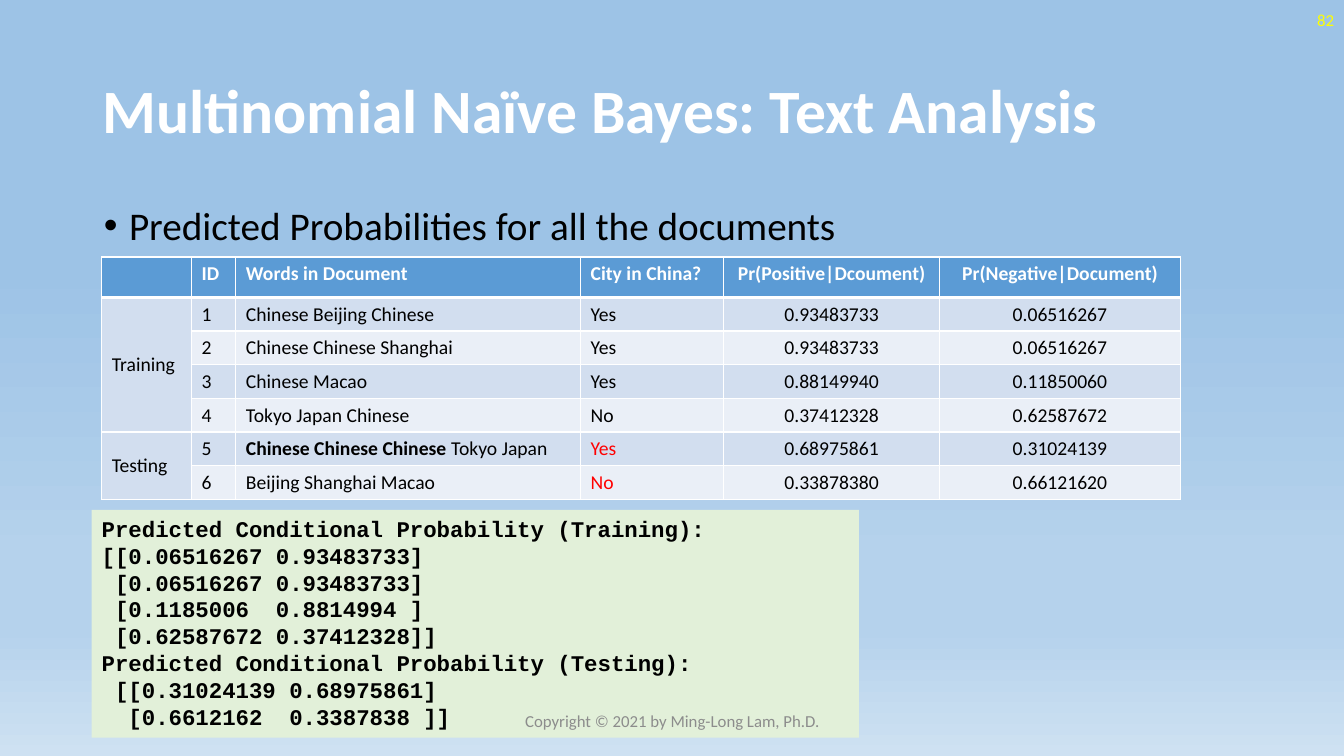
from lxml.etree import SubElement
from pptx import Presentation
from pptx.dml.color import RGBColor
from pptx.enum.text import MSO_ANCHOR, MSO_AUTO_SIZE, PP_ALIGN
from pptx.oxml import parse_xml
from pptx.oxml.ns import nsdecls, qn
from pptx.util import Inches, Pt

COLORS = {
    "white": "FFFFFF", "black": "000000", "red": "FF0000", "yellow": "FFFF00",
    "gray": "8C8C8C", "header": "5B9BD5", "odd row": "D2DEEF",
    "even row": "EAEFF7", "code": "E2F0D9",
}
BACKGROUND_STOPS = [(35, "9DC3E6"), (74, "B5D2EC"), (83, "B5D2EC"), (100, "CEE1F2")]
COLUMN_WIDTHS = [0.89, 0.44, 3.42, 1.42, 2.14, 2.39]
ROW_HEIGHT = 0.33
HEADINGS = ["", "ID", "Words in Document", "City in China?",
            "Pr(Positive|Dcoument)", "Pr(Negative|Document)"]
# Bold words, plain words, city in China, positive and negative probability
DOCUMENTS = [
    ("", "Chinese Beijing Chinese", "Yes", "0.93483733", "0.06516267"),
    ("", "Chinese Chinese Shanghai", "Yes", "0.93483733", "0.06516267"),
    ("", "Chinese Macao", "Yes", "0.88149940", "0.11850060"),
    ("", "Tokyo Japan Chinese", "No", "0.37412328", "0.62587672"),
    ("Chinese Chinese Chinese", " Tokyo Japan", "Yes", "0.68975861", "0.31024139"),
    ("", "Beijing Shanghai Macao", "No", "0.33878380", "0.66121620"),
]
GROUPS = [("Training", 1, 4), ("Testing", 5, 6)]
OUTPUT_LINES = [
    "Predicted Conditional Probability (Training):",
    "[[0.06516267 0.93483733]",
    " [0.06516267 0.93483733]",
    " [0.1185006  0.8814994 ]",
    " [0.62587672 0.37412328]]",
    "Predicted Conditional Probability (Testing):",
    " [[0.31024139 0.68975861]",
    "  [0.6612162  0.3387838 ]]",
]


def color(name):
    return RGBColor.from_string(COLORS[name])


def add_span(para, text, size, color_name="black", bold=False, name="Calibri"):
    span = para.add_run()
    span.text = text
    for key, value in {"size": Pt(size), "bold": bold, "name": name}.items():
        setattr(span.font, key, value)
    span.font.color.rgb = color(color_name)


def place(shape, left, top, width, height):
    bounds = {"left": left, "top": top, "width": width, "height": height}
    for key, value in bounds.items():
        setattr(shape, key, Inches(value))


def paint_background(slide):
    fill = slide.background.fill
    fill.gradient()
    fill.gradient_angle = 270
    stops = slide.element.find(".//" + qn("a:gsLst"))
    for stop in list(stops):
        stops.remove(stop)
    for percent, shade in BACKGROUND_STOPS:
        stop = SubElement(stops, qn("a:gs"), pos=str(percent * 1000))
        SubElement(stop, qn("a:srgbClr"), val=shade)


def fill_placeholder(shape, bounds, text, size, color_name, bold, anchor):
    """Move a placeholder, write its one paragraph and return it."""
    place(shape, *bounds)
    frame = shape.text_frame
    settings = {"auto_size": MSO_AUTO_SIZE.NONE, "word_wrap": True, "vertical_anchor": anchor}
    for key, value in settings.items():
        setattr(frame, key, value)
    para = frame.paragraphs[0]
    for key, value in {"alignment": PP_ALIGN.LEFT, "line_spacing": 0.9,
                       "space_before": Pt(0)}.items():
        setattr(para, key, value)
    add_span(para, text, size, color_name, bold)
    return para


def add_bullet(para):
    properties = para._p.get_or_add_pPr()
    properties.set("marL", str(Inches(0.25)))
    properties.set("indent", str(Inches(-0.25)))
    SubElement(properties, qn("a:buFont"), typeface="Arial")
    SubElement(properties, qn("a:buChar"), char="•")


def add_text_box(slide, bounds):
    box = slide.shapes.add_textbox(*map(Inches, bounds))
    box.text_frame.word_wrap = True
    return box


def add_label(slide, bounds, text, color_name, alignment):
    frame = add_text_box(slide, bounds).text_frame
    frame.vertical_anchor = MSO_ANCHOR.MIDDLE
    para = frame.paragraphs[0]
    para.alignment = alignment
    add_span(para, text, 12, color_name)


def add_code_output(slide, bounds):
    box = add_text_box(slide, bounds)
    box.fill.solid()
    box.fill.fore_color.rgb = color("code")
    frame = box.text_frame
    frame.auto_size = MSO_AUTO_SIZE.SHAPE_TO_FIT_TEXT
    for index, line in enumerate(OUTPUT_LINES):
        para = frame.add_paragraph() if index else frame.paragraphs[0]
        add_span(para, line, 16, bold=True, name="Courier New")


def style_cell(cell, row):
    """Set the banded fill and white borders, thick below the header."""
    shade = "header" if row == 0 else "odd row" if row % 2 else "even row"
    cell.fill.solid()
    cell.fill.fore_color.rgb = color(shade)
    widths = {"L": 1, "R": 1, "T": 3 if row == 1 else 1, "B": 3 if row == 0 else 1}
    for index, (side, width) in enumerate(widths.items()):
        border = parse_xml(
            f'<a:ln{side} {nsdecls("a")} w="{Pt(width)}"><a:solidFill>'
            f'<a:srgbClr val="{COLORS["white"]}"/></a:solidFill></a:ln{side}>')
        cell._tc.get_or_add_tcPr().insert(index, border)


def write_cell(cell, spans, centered=False):
    """Write (text, color name, bold) spans into a cell."""
    para = cell.text_frame.paragraphs[0]
    para.alignment = PP_ALIGN.CENTER if centered else PP_ALIGN.LEFT
    for text, color_name, bold in spans:
        if text:
            add_span(para, text, 14, color_name, bold)


def add_probability_table(slide, left, top):
    row_count = len(DOCUMENTS) + 1
    table = slide.shapes.add_table(
        row_count, len(COLUMN_WIDTHS), Inches(left), Inches(top),
        Inches(sum(COLUMN_WIDTHS)), Inches(ROW_HEIGHT * row_count)).table
    for column, width in zip(table.columns, COLUMN_WIDTHS):
        column.width = Inches(width)
    for row in range(row_count):
        for column in range(len(COLUMN_WIDTHS)):
            style_cell(table.cell(row, column), row)

    for column, heading in enumerate(HEADINGS):
        write_cell(table.cell(0, column), [(heading, "white", True)], column >= 4)
    testing_start = GROUPS[1][1]
    for row, (bold_words, words, city, *chances) in enumerate(DOCUMENTS, start=1):
        write_cell(table.cell(row, 1), [(str(row), "black", False)])
        write_cell(table.cell(row, 2), [(bold_words, "black", True), (words, "black", False)])
        city_color = "red" if row >= testing_start else "black"
        write_cell(table.cell(row, 3), [(city, city_color, False)])
        for column, chance in enumerate(chances, start=4):
            write_cell(table.cell(row, column), [(chance, "black", False)], True)
    for group, first, last in GROUPS:
        cell = table.cell(first, 0)
        cell.merge(table.cell(last, 0))
        cell.vertical_anchor = MSO_ANCHOR.MIDDLE
        write_cell(cell, [(group, "black", False)])


def main():
    deck = Presentation()
    deck.slide_width, deck.slide_height = Inches(13.33), Inches(7.5)
    page = deck.slides.add_slide(deck.slide_layouts[1])
    paint_background(page)
    fill_placeholder(page.shapes.title, (0.92, 0.4, 11.5, 1.45),
                     "Multinomial Naïve Bayes: Text Analysis", 44, "white", True,
                     MSO_ANCHOR.MIDDLE)
    bullet = fill_placeholder(page.placeholders[1], (0.93, 2, 11.5, 4.76),
                              "Predicted Probabilities for all the documents", 28,
                              "black", False, MSO_ANCHOR.TOP)
    add_bullet(bullet)
    add_label(page, (10.33, 0, 3, 0.4), "82", "yellow", PP_ALIGN.RIGHT)
    add_probability_table(page, 1.01, 2.55)
    add_code_output(page, (0.91, 5.06, 7.61, 2.26))
    add_label(page, (4.42, 6.95, 4.5, 0.4), "Copyright © 2021 by Ming-Long Lam, Ph.D.",
              "gray", PP_ALIGN.CENTER)
    deck.save("out.pptx")


if __name__ == "__main__":
    main()
